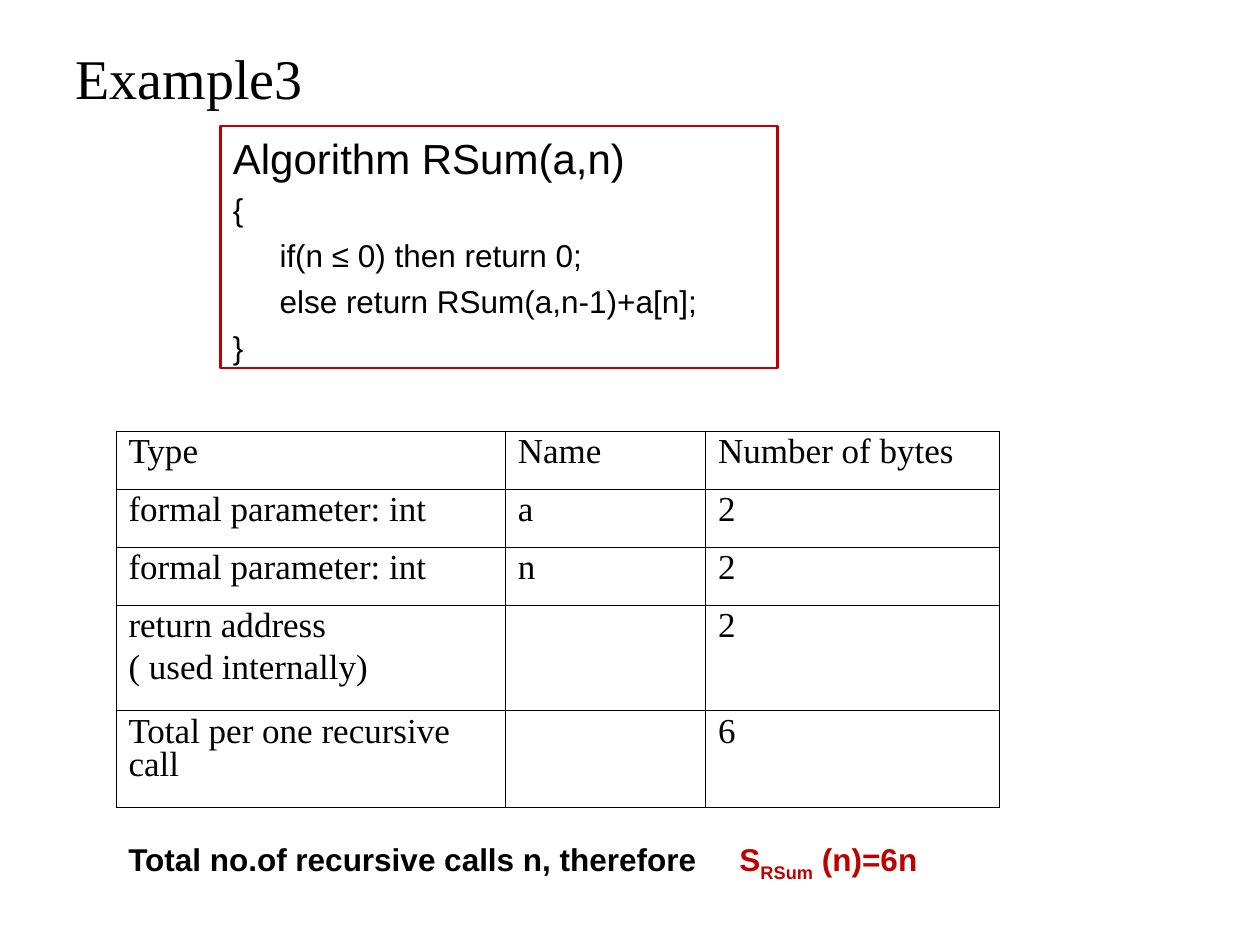
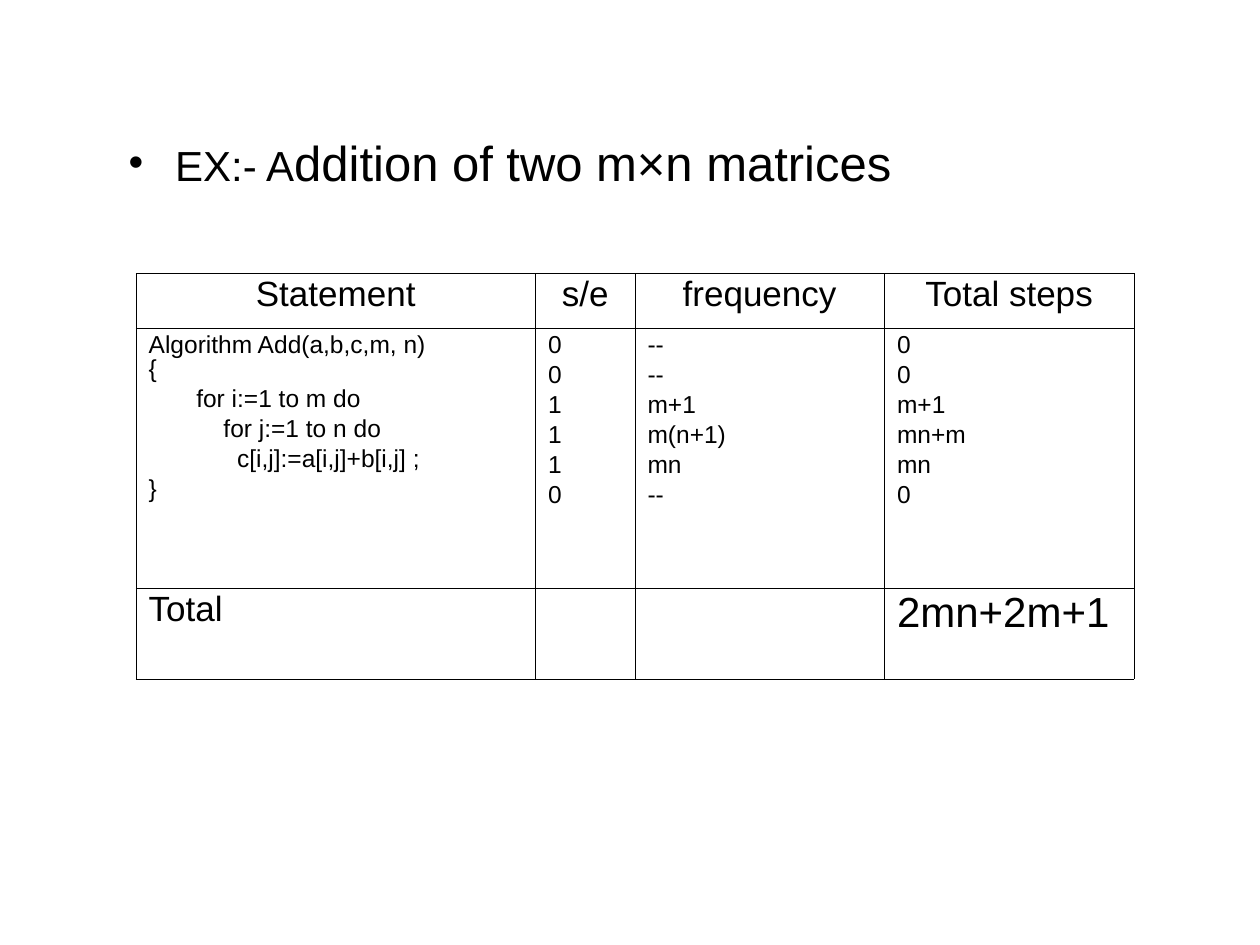
"""Builds two slides on the space and step counts of algorithms."""
from dataclasses import dataclass

from lxml import etree
from pptx import Presentation, util as u
from pptx.dml.color import RGBColor
from pptx.enum import shapes, text
from pptx.oxml import ns

Inches, Pt = u.Inches, u.Pt


@dataclass(frozen=True)
class Theme:
    ink: RGBColor = RGBColor(0, 0, 0)
    red: RGBColor = RGBColor(0xC0, 0, 0)
    white: RGBColor = RGBColor(255, 255, 255)
    sans: str = "Arial"
    serif: str = "Times New Roman"
    title: int = 32
    lead: int = 28
    head: int = 24
    cell: int = 20
    body: int = 18
    code: int = 14
    edge: float = 0.23
    grid: float = 0.11


def line(*runs, **look):
    return runs, look


def put(item, vals):
    for key, val in vals.items():
        setattr(item, key, val)


def add(root, tag, **attrs):
    return etree.SubElement(root, ns.qn(tag), attrs)


class Deck:
    def __init__(self, theme):
        self.theme = theme
        self.prs = Presentation()
        put(self.prs, {"slide_width": Inches(10), "slide_height": Inches(7.5)})
        self.slide = None

    def fill_text(self, frame, lines, **base):
        for row, item in enumerate(lines):
            runs, more = line(item) if isinstance(item, str) else item
            look = {"size": self.theme.body, "name": self.theme.sans,
                    "color": self.theme.ink, "bold": False, "gap": 0, **base, **more}
            para = frame.paragraphs[0] if row == 0 else frame.add_paragraph()
            put(para, {"alignment": look.get("align", text.PP_ALIGN.LEFT),
                       "line_spacing": look.get("space", 1.0)})
            if row:
                para.space_before = Pt(look["gap"])
            self.mark(para, look)
            for part in runs:
                words, extra = (part, {}) if isinstance(part, str) else part
                self.add_words(para, words, {**look, **extra})

    def mark(self, para, look):
        props = para._p.get_or_add_pPr()
        if "pad" in look:
            props.set("marL", str(Inches(look["pad"])))
        if "bullet" in look:
            props.set("indent", str(-Inches(look["pad"])))
            add(props, "a:buFont", typeface=self.theme.sans)
            add(props, "a:buChar", char=look["bullet"])
        if "tab" in look:
            add(add(props, "a:tabLst"), "a:tab", pos=str(Inches(look["tab"])), algn="l")

    def add_words(self, para, words, look):
        run = para.add_run()
        run.text = words
        put(run.font, {"size": Pt(look["size"]), "name": look["name"], "bold": look["bold"]})
        run.font.color.rgb = look["color"]
        if "base" in look:
            run._r.get_or_add_rPr().set("baseline", str(look["base"] * 1000))

    def title(self, box, lines, anchor, **look):
        self.slide = self.prs.slides.add_slide(self.prs.slide_layouts[5])
        shape = self.slide.shapes.title
        put(shape, dict(zip(("left", "top", "width", "height"), map(Inches, box))))
        put(shape.text_frame, {"word_wrap": True, "vertical_anchor": anchor,
                               "auto_size": text.MSO_AUTO_SIZE.NONE})
        self.fill_text(shape.text_frame, lines, **look)

    def panel(self, box, lines, edge, width, fill=None, inset=0.05, **look):
        shape = self.slide.shapes.add_shape(
            shapes.MSO_SHAPE.RECTANGLE, *map(Inches, box))
        shape.shadow.inherit = False
        if fill is None:
            shape.fill.background()
        else:
            shape.fill.solid()
            shape.fill.fore_color.rgb = fill
        shape.line.color.rgb = edge
        shape.line.width = Pt(width)
        put(shape.text_frame, {"word_wrap": True, "margin_top": Inches(inset),
                               "vertical_anchor": text.MSO_ANCHOR.TOP})
        self.fill_text(shape.text_frame, lines, **look)

    def border(self, cell, ends):
        props = cell._tc.get_or_add_tcPr()
        for side, outer in zip("LRTB", ends):
            width = Pt(self.theme.edge if outer else self.theme.grid)
            rule = add(props, f"a:ln{side}", w=str(width))
            add(add(rule, "a:solidFill"), "a:srgbClr", val=str(self.theme.ink))
        cell.fill.background()

    def table(self, spot, cols, rows, data, **look):
        size = sum(cols), sum(rows)
        table = self.slide.shapes.add_table(
            len(rows), len(cols), *map(Inches, spot + size)).table
        put(table, {"first_row": False, "horz_banding": False})
        for col, width in zip(table.columns, cols):
            col.width = Inches(width)
        for row, height in zip(table.rows, rows):
            row.height = Inches(height)
        for y, cells in enumerate(data):
            for x, lines in enumerate(cells):
                cell = table.cell(y, x)
                self.border(cell, (x == 0, x == len(cols) - 1, y == 0, y == len(rows) - 1))
                self.fill_text(cell.text_frame, lines, **look)


def space(deck):
    th = deck.theme
    deck.title((0.5, 0.3, 9, 0.62), ["Example3"], text.MSO_ANCHOR.MIDDLE,
               size=th.title, name=th.serif)
    deck.panel((1.75, 1, 4.42, 1.92), [
        line("Algorithm RSum(a,n)", size=th.head),
        "{",
        line("if(n ≤ 0) then return 0;", pad=0.37),
        line("else return RSum(a,n-1)+a[n];", pad=0.37),
        "}",
    ], th.red, 1.5, gap=4.5)
    deck.table((0.92, 3.42), (3.09, 1.59, 2.33), (0.46, 0.46, 0.46, 0.84, 0.77), [
        (["Type"], ["Name"], ["Number of bytes"]),
        (["formal parameter: int"], ["a"], ["2"]),
        (["formal parameter: int"], ["n"], ["2"]),
        (["return address", "( used internally)"], [], ["2"]),
        (["Total per one recursive call"], [], ["6"]),
    ], size=th.cell, name=th.serif, space=0.86, gap=5)
    red = {"color": th.red}
    deck.panel((0.92, 6.58, 8.42, 0.75), [
        line("Total no.of recursive calls n, therefore\t", ("S", red),
             ("RSum", {**red, "base": -25}), (" (n)=6n", red), tab=4.85),
    ], th.white, 0.75, fill=th.white, inset=0.09, bold=True)


def steps(deck):
    th = deck.theme
    deck.title((0.92, 1, 6.67, 0.95), [
        line(("EX:- A", {"size": th.head}), "ddition of two m×n matrices"),
    ], text.MSO_ANCHOR.TOP, size=th.lead, pad=0.37, bullet="•")
    heads = ("Statement", "s/e", "frequency", "Total steps")
    code = [
        "Algorithm Add(a,b,c,m, n)",
        line("{", gap=0),
        "       for i:=1 to m do",
        "           for j:=1 to n do",
        "             c[i,j]:=a[i,j]+b[i,j] ;",
        "}",
    ]
    counts = ("0 0 1 1 1 0", "-- -- m+1 m(n+1) mn --", "0 0 m+1 mn+m mn 0")
    deck.table((1.08, 2.17), (3.17, 0.79, 1.98, 1.98), (0.43, 2.07, 0.72), [
        [[line(head, size=th.cell, align=text.PP_ALIGN.CENTER)] for head in heads],
        [code] + [col.split() for col in counts],
        [[line("Total", size=th.cell)], [], [], [line("2mn+2m+1", size=th.head)]],
    ], size=th.code, space=0.87, gap=3.5)


def main():
    deck = Deck(Theme())
    space(deck)
    steps(deck)
    deck.prs.save("out.pptx")


if __name__ == "__main__":
    main()
